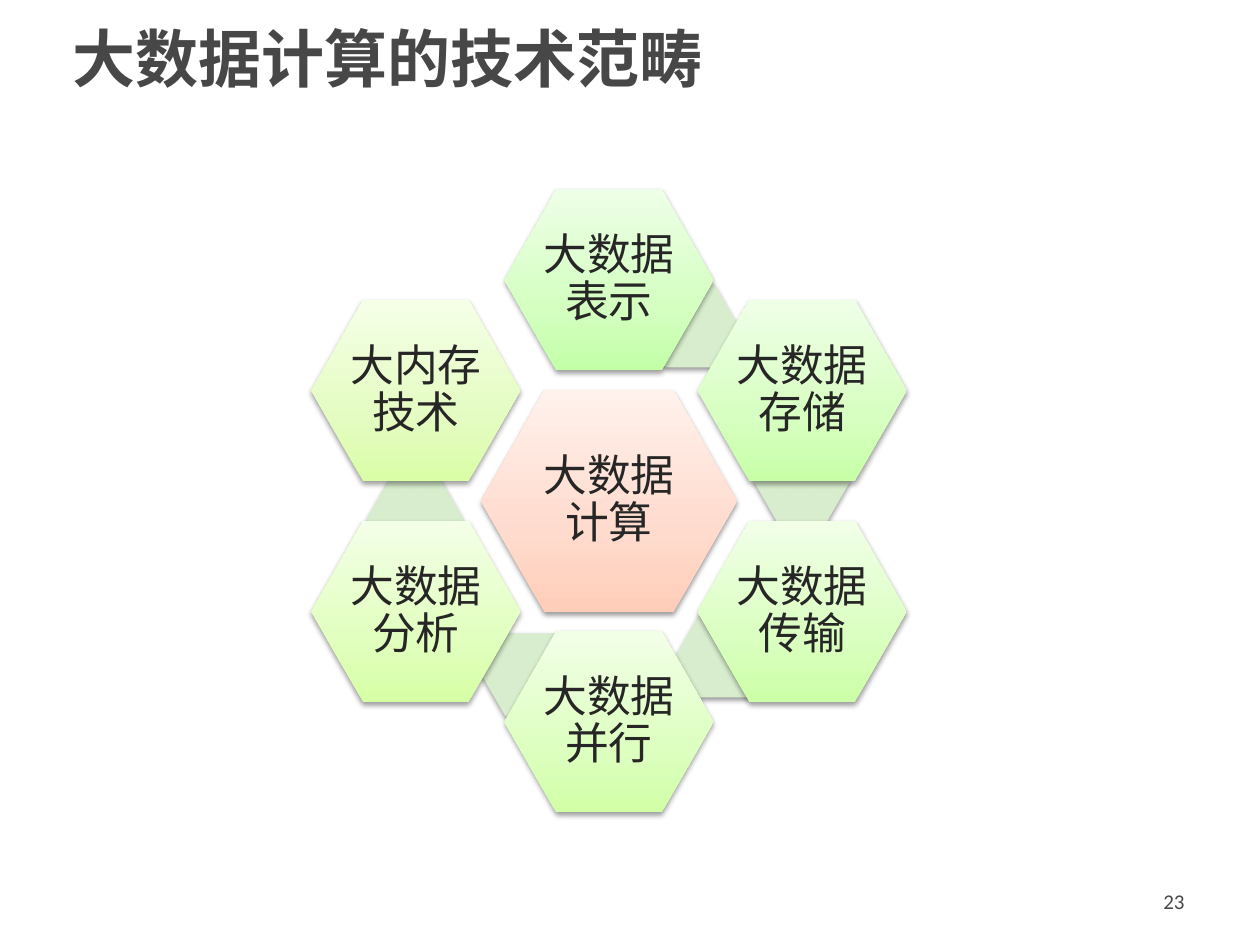
from copy import deepcopy
from math import cos, radians, sin

from lxml.etree import SubElement
from pptx import Presentation
from pptx.dml.color import RGBColor
from pptx.enum.shapes import MSO_SHAPE as Shape
from pptx.enum.text import MSO_ANCHOR as Anchor, PP_ALIGN as Align
from pptx.oxml.ns import qn
from pptx.util import Emu, Pt

PX = 914400 // 126
CJK_FONT = "Noto Sans CJK SC"
COLORS = {"heading": "474747", "label": "262626", "link": "D7EDCD", "shadow": "000000"}

# Hexagon ring: centre, radii and sizes in px
CENTER = (609, 501)
RADIUS = (223, 221)
CORE_SIZE = (256, 222)
TOPIC_SIZE = (209, 181)
LINK_SIZE = (97, 83)
STOPS = (0, 0.35, 1)

CORE = ("大数据计算", ("FFCDB8", "FFDBCD", "FFF1EC"))

# Clockwise from the top: label, gradient from bottom to top, centre of the link drawn before it
TOPICS = [
    ("大数据表示", ("C3FFA7", "D4FFC1", "EEFFE7"), (690, 326)),
    ("大数据存储", ("C7FFA7", "D7FFC1", "EFFFE7"), (802, 481)),
    ("大数据传输", ("CCFFA7", "DAFFC0", "F1FFE7"), (724, 656)),
    ("大数据并行", ("D1FFA6", "DDFFC0", "F2FFE7"), (530, 675)),
    ("大数据分析", ("D6FFA5", "E1FFBF", "F3FFE7"), (415, 519)),
    ("大内存技术", ("DAFDA7", "E4FCC2", "F5FFE7"), None),
]


def px(value):
    return Emu(round(value * PX))


def rgb(value):
    return RGBColor.from_string(value)


def write_text(frame, text, size, color, font=CJK_FONT, bold=False, align=Align.LEFT, spacing=None):
    frame.word_wrap = True
    frame.vertical_anchor = Anchor.MIDDLE
    para = frame.paragraphs[0]
    para.alignment = align
    if spacing:
        para.line_spacing = spacing
    span = para.add_run()
    span.text = text
    span.font.size = Pt(size)
    span.font.name = font
    span.font.bold = bold
    span.font.color.rgb = rgb(COLORS[color])
    SubElement(span.font._element, qn("a:ea"), typeface=font)


def add_text_box(page, left, top, width, height, text, **style):
    box = page.shapes.add_textbox(px(left), px(top), px(width), px(height))
    write_text(box.text_frame, text, **style)


def add_soft_shadow(shape):
    shape.shadow.inherit = False
    effects = shape._element.spPr.find(qn("a:effectLst"))
    outer = SubElement(effects, qn("a:outerShdw"), blurRad=str(Pt(3.1)), dist=str(Pt(1.6)),
                       dir="5400000", rotWithShape="0")
    color = SubElement(outer, qn("a:srgbClr"), val=COLORS["shadow"])
    SubElement(color, qn("a:alpha"), val="38000")


def fill_gradient(shape, colors):
    shape.fill.gradient()
    shape.fill.gradient_angle = 90
    stop_list = shape._element.spPr.find(qn("a:gradFill")).find(qn("a:gsLst"))
    stop_list.append(deepcopy(stop_list[-1]))
    for stop, position, color in zip(shape.fill.gradient_stops, STOPS, colors):
        stop.position = position
        stop.color.rgb = rgb(color)


def add_hexagon(page, center, size, adjust):
    (x, y), (width, height) = center, size
    shape = page.shapes.add_shape(Shape.HEXAGON, px(x - width / 2), px(y - height / 2),
                                  px(width), px(height))
    shape.adjustments[0] = adjust
    shape.line.fill.background()
    add_soft_shadow(shape)
    return shape


def add_link(page, center):
    shape = add_hexagon(page, center, LINK_SIZE, 0.289)
    shape.fill.solid()
    shape.fill.fore_color.rgb = rgb(COLORS["link"])


def add_topic(page, center, size, label, colors):
    shape = add_hexagon(page, center, size, 0.286)
    fill_gradient(shape, colors)
    frame = shape.text_frame
    frame.margin_left = frame.margin_right = 0
    frame.margin_top = frame.margin_bottom = px(4)
    write_text(frame, label, size=25, color="label", align=Align.CENTER, spacing=0.9)


def main():
    deck = Presentation()
    deck.slide_width, deck.slide_height = px(1260), px(945)
    page = deck.slides.add_slide(deck.slide_layouts[6])

    # Title
    add_text_box(page, 60, 10, 1158, 95, "大数据计算的技术范畴", size=36, color="heading", bold=True)

    # Core and the ring of topics around it
    add_topic(page, CENTER, CORE_SIZE, *CORE)
    for index, (label, colors, link_center) in enumerate(TOPICS):
        angle = radians(index * 360 / len(TOPICS))
        center = (CENTER[0] + RADIUS[0] * sin(angle), CENTER[1] - RADIUS[1] * cos(angle))
        if link_center:
            add_link(page, link_center)
        add_topic(page, center, TOPIC_SIZE, label, colors)

    # Page number
    add_text_box(page, 903, 876, 294, 50, "23", size=12, color="heading", font="Calibri",
                 align=Align.RIGHT)

    deck.save("out.pptx")


if __name__ == "__main__":
    main()
